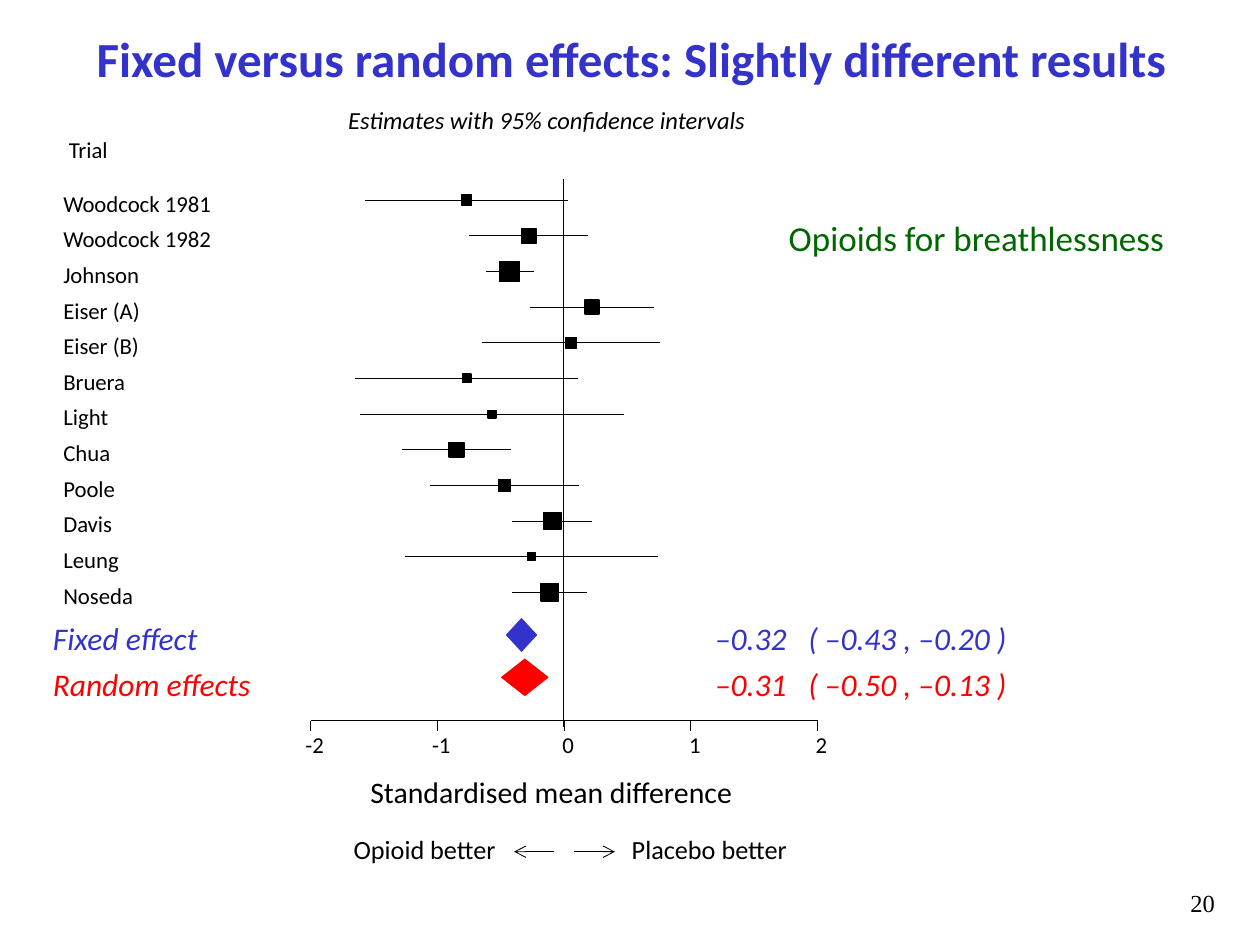
from pptx import Presentation
from pptx.dml.color import RGBColor as RGB
from pptx.enum.shapes import MSO_CONNECTOR as Connector, MSO_SHAPE as Shape
from pptx.enum.text import MSO_ANCHOR as Anchor, MSO_AUTO_SIZE as AutoSize, PP_ALIGN as Align
from pptx.oxml.ns import qn
from pptx.util import Pt
from lxml.etree import SubElement

COLORS = {"ink": "000000", "fixed": "3333CC", "random": "FF0000", "topic": "006600"}

# Trial, label width, interval limits, square size
TRIALS = [
    ("Woodcock 1981", 86, -1.57, 0.03, 5.8),
    ("Woodcock 1982", 86, -0.75, 0.19, 8.5),
    ("Johnson", 44, -0.62, -0.24, 11.5),
    ("Eiser (A)", 44, -0.27, 0.71, 8),
    ("Eiser (B)", 44, -0.65, 0.76, 6.3),
    ("Bruera", 36, -1.65, 0.11, 5),
    ("Light", 26, -1.61, 0.47, 4.5),
    ("Chua", 27, -1.28, -0.42, 8.5),
    ("Poole", 30, -1.06, 0.12, 7),
    ("Davis", 28, -0.41, 0.22, 10),
    ("Leung", 32, -1.26, 0.74, 4.5),
    ("Noseda", 40, -0.41, 0.18, 10),
]

# Label, estimate, colour key, text top, label width, diamond left, top, width, height
SUMMARIES = [
    ("Fixed effect", "–0.32\t( –0.43 , –0.20 )", "fixed", 354, 84,
     289.4, 353.5, 17.3, 18.7),
    ("Random effects", "–0.31\t( –0.50 , –0.13 )", "random", 380, 114,
     286.6, 376.6, 26.6, 20.9),
]

ZERO_X, UNIT = 322.4, 72.4
AXIS_Y, TICK = 411.8, 5.8
FIRST_ROW, ROW_STEP = 114.4, 20.37


def axis_x(value):
    return ZERO_X + UNIT * value


class ForestSlide:
    """Holds the text style and the slide being drawn."""

    def __init__(self, slide):
        self.slide = slide
        self.font = {"name": "Calibri", "size": 13, "bold": False, "italic": False}

    def fill_text(self, frame, words, color, align, tab=None, **changes):
        paragraph = frame.paragraphs[0]
        paragraph.alignment = align
        if tab:
            tabs = SubElement(paragraph._p.get_or_add_pPr(), qn("a:tabLst"))
            SubElement(tabs, qn("a:tab"), pos=str(Pt(tab)), algn="l")
        run = paragraph.add_run()
        run.text = words
        style = {**self.font, **changes}
        style["size"] = Pt(style["size"])
        for key, value in style.items():
            setattr(run.font, key, value)
        run.font.color.rgb = RGB.from_string(COLORS[color])

    def title(self, words, left, top, width, height):
        title = self.slide.shapes.title
        box = {"left": left, "top": top, "width": width, "height": height}
        for key, value in box.items():
            setattr(title, key, Pt(value))
        frame = title.text_frame
        frame.auto_size = AutoSize.NONE
        frame.vertical_anchor = Anchor.MIDDLE
        self.fill_text(frame, words, "fixed", Align.CENTER, size=28, bold=True)

    def text(self, words, left, top, width, height=16, color="ink",
             align=Align.LEFT, wrap=False, inset=(0, 0), **changes):
        box = self.slide.shapes.add_textbox(Pt(left), Pt(top), Pt(width), Pt(height))
        frame = box.text_frame
        across, down = (Pt(margin) for margin in inset)
        layout = {"word_wrap": wrap, "margin_left": across, "margin_right": across,
                  "margin_top": down, "margin_bottom": down}
        for key, value in layout.items():
            setattr(frame, key, value)
        self.fill_text(frame, words, color, align, **changes)

    def line(self, x1, y1, x2, y2, arrow=False):
        line = self.slide.shapes.add_connector(
            Connector.STRAIGHT, Pt(x1), Pt(y1), Pt(x2), Pt(y2))
        line.line.color.rgb = RGB.from_string(COLORS["ink"])
        line.line.width = Pt(0.5)
        if arrow:
            SubElement(line.line._get_or_add_ln(), qn("a:tailEnd"), type="arrow")
        SubElement(line._element.spPr, qn("a:effectLst"))

    def mark(self, kind, left, top, width, height, color="ink", outline=0):
        mark = self.slide.shapes.add_shape(
            kind, Pt(left), Pt(top), Pt(width), Pt(height))
        mark.shadow.inherit = False
        mark.fill.solid()
        mark.fill.fore_color.rgb = RGB.from_string(COLORS[color])
        mark.line.color.rgb = RGB.from_string(COLORS[color])
        mark.line.width = Pt(outline)


def main():
    deck = Presentation()
    deck.slide_width, deck.slide_height = Pt(720), Pt(540)
    plot = ForestSlide(deck.slides.add_slide(deck.slide_layouts[5]))

    # Headings and page number
    plot.title("Fixed versus random effects: Slightly different results",
               18, 12.2, 685.4, 41.8)
    plot.text("Opioids for breathlessness", 414, 120.2, 288, 31, color="topic",
              align=Align.CENTER, wrap=True, inset=(7.2, 3.6), size=20)
    plot.text("Estimates with 95% confidence intervals", 198.7, 59.8, 227.5, 17,
              align=Align.CENTER, size=14, italic=True)
    plot.text("Trial", 38.9, 77.8, 23, align=Align.CENTER)
    plot.text("20", 604.8, 504, 96.5, 36, align=Align.RIGHT, wrap=True,
              inset=(7.2, 3.6), name="Times New Roman", size=14)

    # Axis with ticks and the line of no effect
    plot.line(axis_x(-2), AXIS_Y, axis_x(2), AXIS_Y)
    for value in range(-2, 3):
        x = axis_x(value)
        plot.line(x, AXIS_Y, x, AXIS_Y + TICK)
        width = 11 if value < 0 else 6.6
        plot.text(str(value), x + 2.2 - width / 2, AXIS_Y + TICK, width,
                  align=Align.CENTER)
    plot.line(ZERO_X - 0.5, 415.5, ZERO_X - 0.5, 102.2)

    # Trials: label, interval and weighted square
    for row, (trial, width, low, high, size) in enumerate(TRIALS):
        y = FIRST_ROW + ROW_STEP * row
        middle = axis_x((low + high) / 2)
        plot.text(trial, 36.2, y - 6.2, width)
        plot.mark(Shape.RECTANGLE, middle - size / 2, y - size / 2, size, size)
        plot.line(axis_x(low), y, axis_x(high), y)

    # Pooled results
    for label, estimate, color, top, width, *diamond in SUMMARIES:
        plot.mark(Shape.DIAMOND, *diamond, color=color, outline=0.5)
        plot.text(label, 30.2, top, width, 22, color=color, size=18, italic=True)
        plot.text(estimate, 408.6, top, 174, 22, color=color, wrap=True,
                  tab=53.3, size=18, italic=True)

    # Axis title and direction of benefit
    plot.text("Standardised mean difference", 211, 442, 208, 20,
              align=Align.CENTER, size=17)
    plot.text("Opioid better", 201.6, 476, 82, 18, align=Align.CENTER, size=15)
    plot.text("Placebo better", 360.7, 476, 89.3, 18, align=Align.CENTER, size=15)
    for start, tip in ((316.8, 293.8), (328.3, 351.4)):
        plot.line(start, 486.7, tip, 486.7, arrow=True)

    deck.save("out.pptx")


if __name__ == "__main__":
    main()
